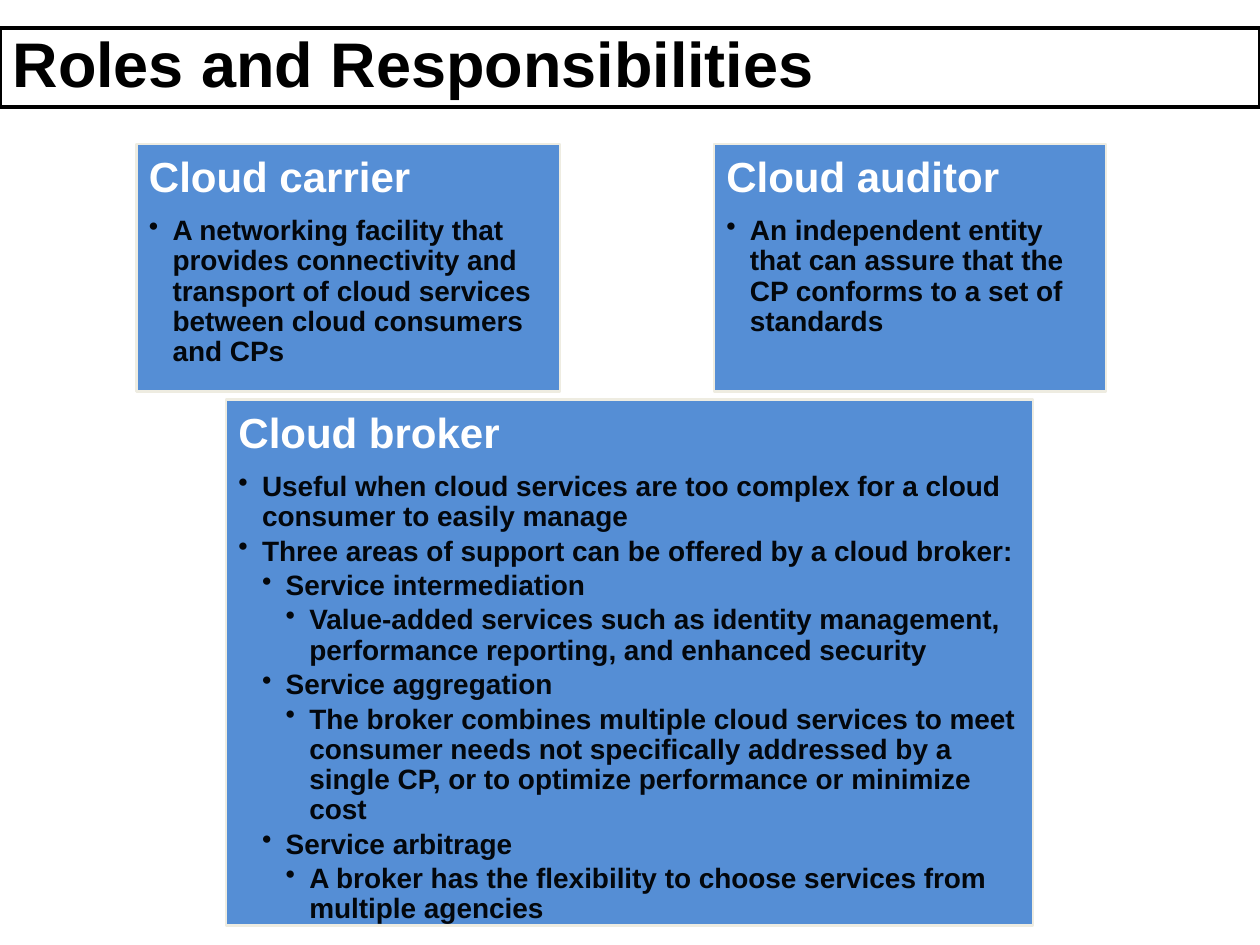
from pptx import Presentation
from pptx.dml.color import RGBColor
from pptx.enum.shapes import MSO_SHAPE
from pptx.enum.text import MSO_ANCHOR, MSO_AUTO_SIZE, PP_ALIGN
from pptx.oxml.ns import qn
from pptx.util import Pt
from lxml.etree import SubElement

COLORS = {"box": "558ED5", "edge": "EEECE1", "head": "FFFFFF", "body": "03070C", "title": "000000"}
STEP = 13.5

CARDS = [
    ((78, 82.2, 242, 141.6), "Cloud carrier", [
        (1, "A networking facility that provides connectivity and transport of cloud services "
            "between cloud consumers and CPs"),
    ]),
    ((129.2, 228.4, 461.2, 300.6), "Cloud broker", [
        (1, "Useful when cloud services are too complex for a cloud consumer to easily manage"),
        (1, "Three areas of support can be offered by a cloud broker:"),
        (2, "Service intermediation"),
        (3, "Value-added services such as identity management, performance reporting, "
            "and enhanced security"),
        (2, "Service aggregation"),
        (3, "The broker combines multiple cloud services to meet consumer needs not specifically "
            "addressed by a single CP, or to optimize performance or minimize cost"),
        (2, "Service arbitrage"),
        (3, "A broker has the flexibility to choose services from multiple agencies"),
    ]),
    ((408, 82.2, 224, 141.6), "Cloud auditor", [
        (1, "An independent entity that can assure that the CP conforms to a set of standards"),
    ]),
]


def assign(item, **values):
    for name, value in values.items():
        setattr(item, name, value)


class Deck:
    """Holds the style and the current slide, and draws each kind of element."""

    def __init__(self, width, height):
        self.file = Presentation()
        assign(self.file, slide_width=Pt(width), slide_height=Pt(height))
        self.slide = self.file.slides.add_slide(self.file.slide_layouts[5])

    def color(self, name):
        return RGBColor.from_string(COLORS[name])

    def font(self, para, size, color):
        assign(para.font, name="Arial", size=Pt(size), bold=True)
        para.font.color.rgb = self.color(color)

    def edge(self, shape, color, width):
        shape.line.color.rgb = self.color(color)
        shape.line.width = Pt(width)

    def title(self, text, left, top, width, height):
        shape = self.slide.shapes.title
        assign(shape, left=Pt(left), top=Pt(top), width=Pt(width), height=Pt(height))
        self.edge(shape, "title", 2.25)
        frame = shape.text_frame
        assign(frame, text=text, word_wrap=True, auto_size=MSO_AUTO_SIZE.NONE,
               vertical_anchor=MSO_ANCHOR.BOTTOM)
        para = frame.paragraphs[0]
        para.alignment = PP_ALIGN.LEFT
        self.font(para, 36, "title")

    def para(self, para, text, size, color, after, level=0):
        assign(para, text=text, level=level, alignment=PP_ALIGN.LEFT,
               line_spacing=0.9, space_before=Pt(0), space_after=Pt(after))
        if level:
            props = para._p.get_or_add_pPr()
            props.set("marL", str(Pt(STEP * level)))
            props.set("indent", str(-Pt(STEP)))
            SubElement(props, qn("a:buChar"), char="•")
        self.font(para, size, color)

    def card(self, place, head, items):
        shape = self.slide.shapes.add_shape(MSO_SHAPE.RECTANGLE, *map(Pt, place))
        shape.shadow.inherit = False
        shape.fill.solid()
        shape.fill.fore_color.rgb = self.color("box")
        self.edge(shape, "edge", 1.5)
        frame = shape.text_frame
        assign(frame, word_wrap=True, vertical_anchor=MSO_ANCHOR.TOP, margin_left=Pt(7.2),
               margin_right=Pt(7.2), margin_top=Pt(7.2), margin_bottom=Pt(7.2))
        self.para(frame.paragraphs[0], head, 24, "head", 8.4)
        for level, text in items:
            self.para(frame.add_paragraph(), text, 16, "body", 2.4, level)


def main():
    deck = Deck(720, 540)
    deck.title("Roles and Responsibilities", 0, 16, 720, 45)
    for card in CARDS:
        deck.card(*card)
    deck.file.save("out.pptx")


if __name__ == "__main__":
    main()
